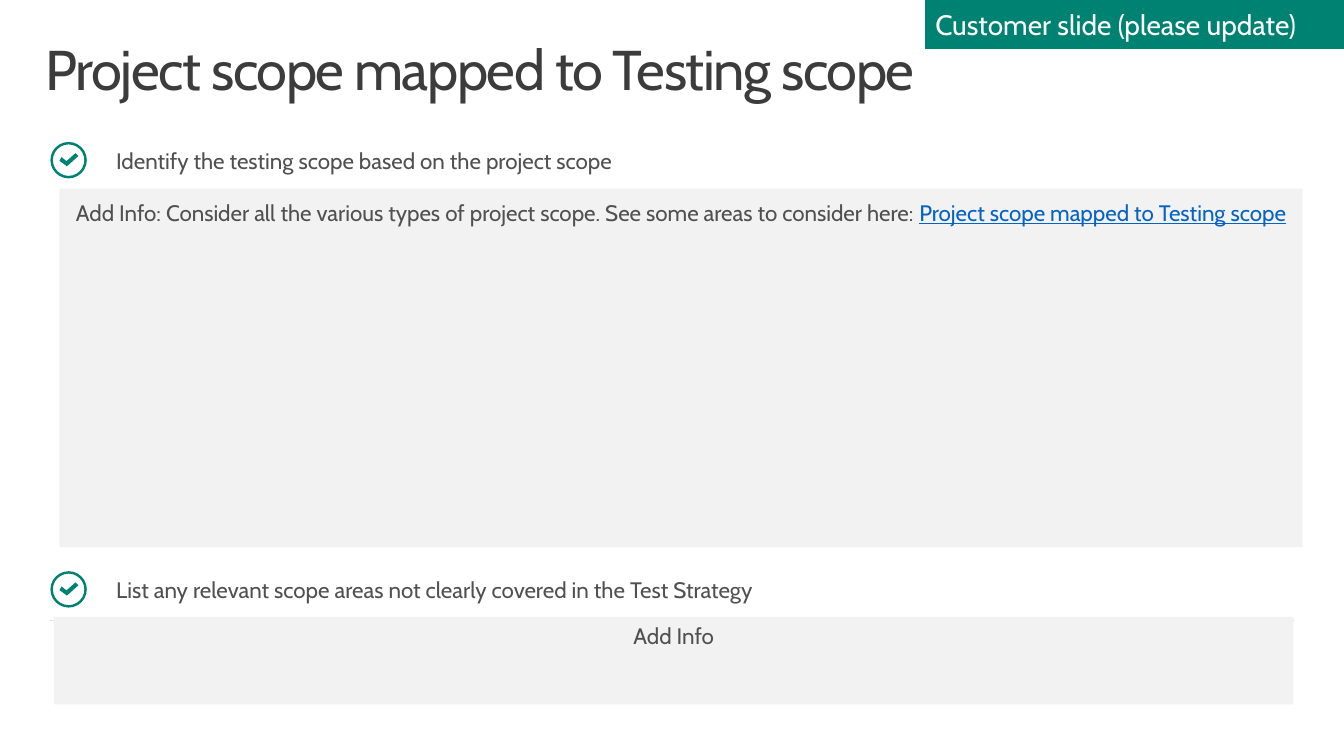
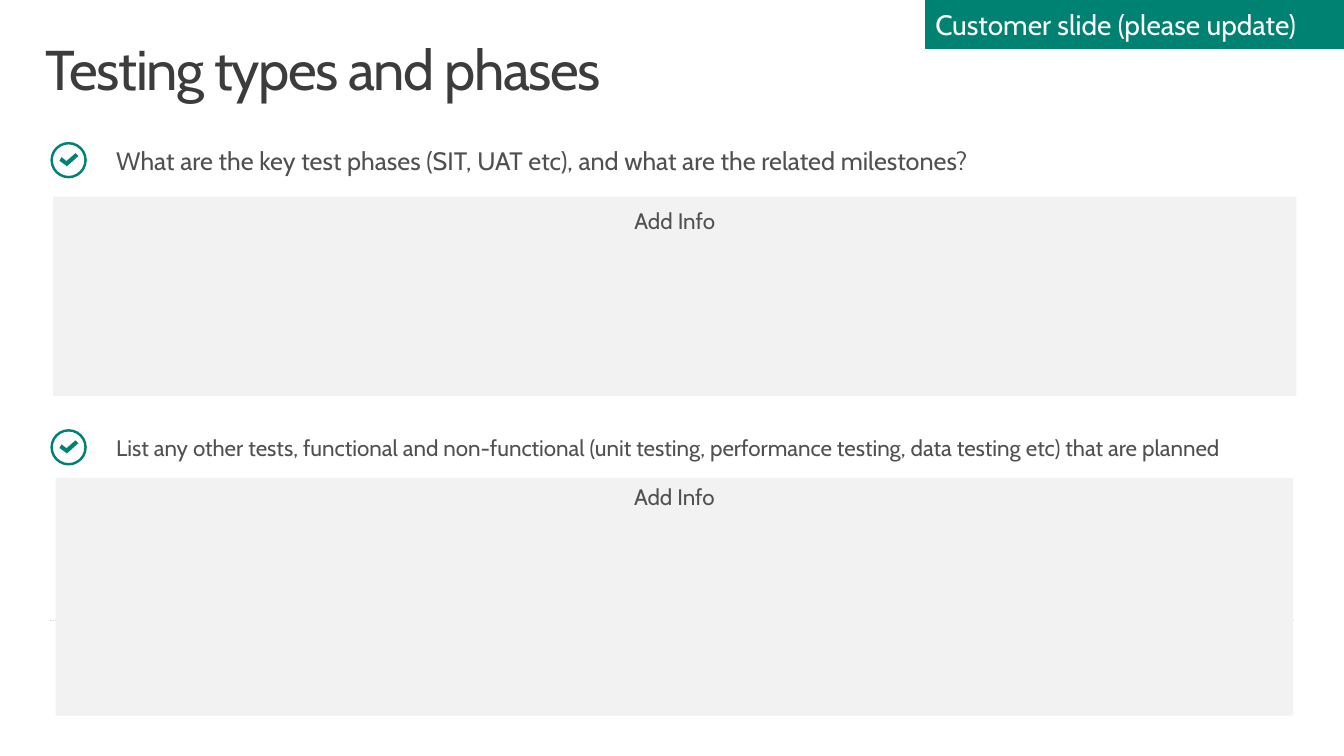
import pptx
import pptx.util
import pptx.dml.color
import pptx.enum.dml
import pptx.enum.shapes
import pptx.enum.text
from lxml import etree

Pt = pptx.util.Pt
RGBColor = pptx.dml.color.RGBColor
MSO_SHAPE = pptx.enum.shapes.MSO_SHAPE
MSO_ANCHOR = pptx.enum.text.MSO_ANCHOR
PP_ALIGN = pptx.enum.text.PP_ALIGN

TITLE_GREY = RGBColor(0x3C, 0x3C, 0x3C)
TEXT_GREY = RGBColor(0x50, 0x50, 0x50)
PANEL_GREY = RGBColor(0xF2, 0xF2, 0xF2)
RULE_GREY = RGBColor(0xD9, 0xD9, 0xD9)
GREEN = RGBColor(0x00, 0x82, 0x72)
LINK_BLUE = RGBColor(0x05, 0x63, 0xC1)
WHITE = RGBColor(0xFF, 0xFF, 0xFF)

FONT = "Cabin"
RING_SIZE = 26
RING_LINE = 1.75
# Tick outline, measured from the top left of the ring
TICK = [(18, 8), (11.5, 13.7), (8, 10.9), (6.5, 13.5), (10.8, 16.6),
        (11.7, 17.4), (12.8, 16.6), (20, 10.1)]

PROMPT = [("Add Info", TEXT_GREY)]
# Each section: heading, size, heading centre y, panel box, panel top inset, panel runs
SLIDES = [
    ("Project scope mapped to Testing scope", [
        ("Identify the testing scope based on the project scope", 16, 114.4,
         (42.5, 134.75, 888, 256), 7.2,
         [("Add Info: Consider all the various types of project scope. "
           "See some areas to consider here: ", TEXT_GREY),
          ("Project scope mapped to Testing scope", LINK_BLUE)]),
        ("List any relevant scope areas not clearly covered in the Test Strategy", 16, 421,
         (38.5, 440.6, 885.5, 62.5), 3.6, PROMPT),
    ]),
    ("Testing types and phases", [
        ("What are the key test phases (SIT, UAT etc), and what are the related milestones?",
         18, 114.4, (38, 140.5, 888, 142.5), 7.2, PROMPT),
        ("List any other tests, functional and non-functional (unit testing, performance "
         "testing, data testing etc) that are planned", 16, 319.5,
         (39.75, 341.25, 884, 170), 3.6, PROMPT),
    ]),
]


def write(shape, runs, size, insets=(7.2, 3.6, 7.2, 3.6),
          anchor=MSO_ANCHOR.TOP, align=PP_ALIGN.LEFT):
    """Fill a shape with one paragraph of (text, colour) runs and return the paragraph."""
    frame = shape.text_frame
    frame.word_wrap = True
    frame.vertical_anchor = anchor
    (frame.margin_left, frame.margin_top,
     frame.margin_right, frame.margin_bottom) = map(Pt, insets)
    paragraph = frame.paragraphs[0]
    paragraph.alignment = align
    for text, colour in runs:
        run = paragraph.add_run()
        run.text = text
        run.font.name = FONT
        run.font.size = Pt(size)
        run.font.color.rgb = colour
        if colour == LINK_BLUE:
            run.font.underline = True
    return paragraph


def add_block(shapes, box, colour, kind=MSO_SHAPE.RECTANGLE):
    """Add a flat filled shape without outline or shadow."""
    block = shapes.add_shape(kind, *map(Pt, box))
    block.shadow.inherit = False
    block.fill.solid()
    block.fill.fore_color.rgb = colour
    block.line.fill.background()
    return block


prs = pptx.Presentation()
prs.slide_width, prs.slide_height = Pt(960), Pt(540)

for title_text, sections in SLIDES:
    shapes = prs.slides.add_slide(prs.slide_layouts[6]).shapes

    title = shapes.add_textbox(Pt(21), Pt(23), Pt(918), Pt(70.5))
    title_line = write(title, [(title_text, TITLE_GREY)], 40, (11.5, 7.2, 11.5, 7.2))
    title_line.line_spacing = 0.9
    title_line.runs[0].font._element.set("spc", "-100")

    banner = add_block(shapes, (661, 0, 299, 34.5), GREEN)
    banner.line.color.rgb = GREEN
    banner.line.width = Pt(0.25)
    write(banner, [("Customer slide (please update)", WHITE)], 20, anchor=MSO_ANCHOR.MIDDLE)

    rule = shapes.add_connector(pptx.enum.shapes.MSO_CONNECTOR.STRAIGHT,
                                Pt(36), Pt(442.75), Pt(924), Pt(442.75))
    rule.line.color.rgb = RULE_GREY
    rule.line.width = Pt(0.25)
    rule.line.dash_style = pptx.enum.dml.MSO_LINE.DASH
    etree.SubElement(rule._element.spPr, pptx.oxml.ns.qn("a:effectLst"))

    for heading_text, size, centre, panel_box, top_inset, panel_runs in sections:
        heading = shapes.add_textbox(Pt(39.75), Pt(centre - 13.5), Pt(885), Pt(27))
        write(heading, [(heading_text, TEXT_GREY)], size, (43.2, 3.6, 7.2, 3.6),
              MSO_ANCHOR.MIDDLE)

        ring_left, ring_top = 36, centre - RING_SIZE / 2
        inner = RING_SIZE - RING_LINE
        ring = add_block(shapes, (ring_left + RING_LINE / 2, ring_top + RING_LINE / 2,
                                  inner, inner), WHITE, MSO_SHAPE.OVAL)
        ring.fill.background()
        ring.line.color.rgb = GREEN
        ring.line.width = Pt(RING_LINE)

        points = [(Pt(ring_left + x), Pt(ring_top + y)) for x, y in TICK]
        outline = shapes.build_freeform(*points[0])
        outline.add_line_segments(points[1:], close=True)
        tick = outline.convert_to_shape()
        tick.shadow.inherit = False
        tick.fill.solid()
        tick.fill.fore_color.rgb = GREEN
        tick.line.fill.background()

        panel = add_block(shapes, panel_box, PANEL_GREY)
        write(panel, panel_runs, 16, (7.2, top_inset, 7.2, 3.6), align=PP_ALIGN.CENTER)

prs.save("out.pptx")
